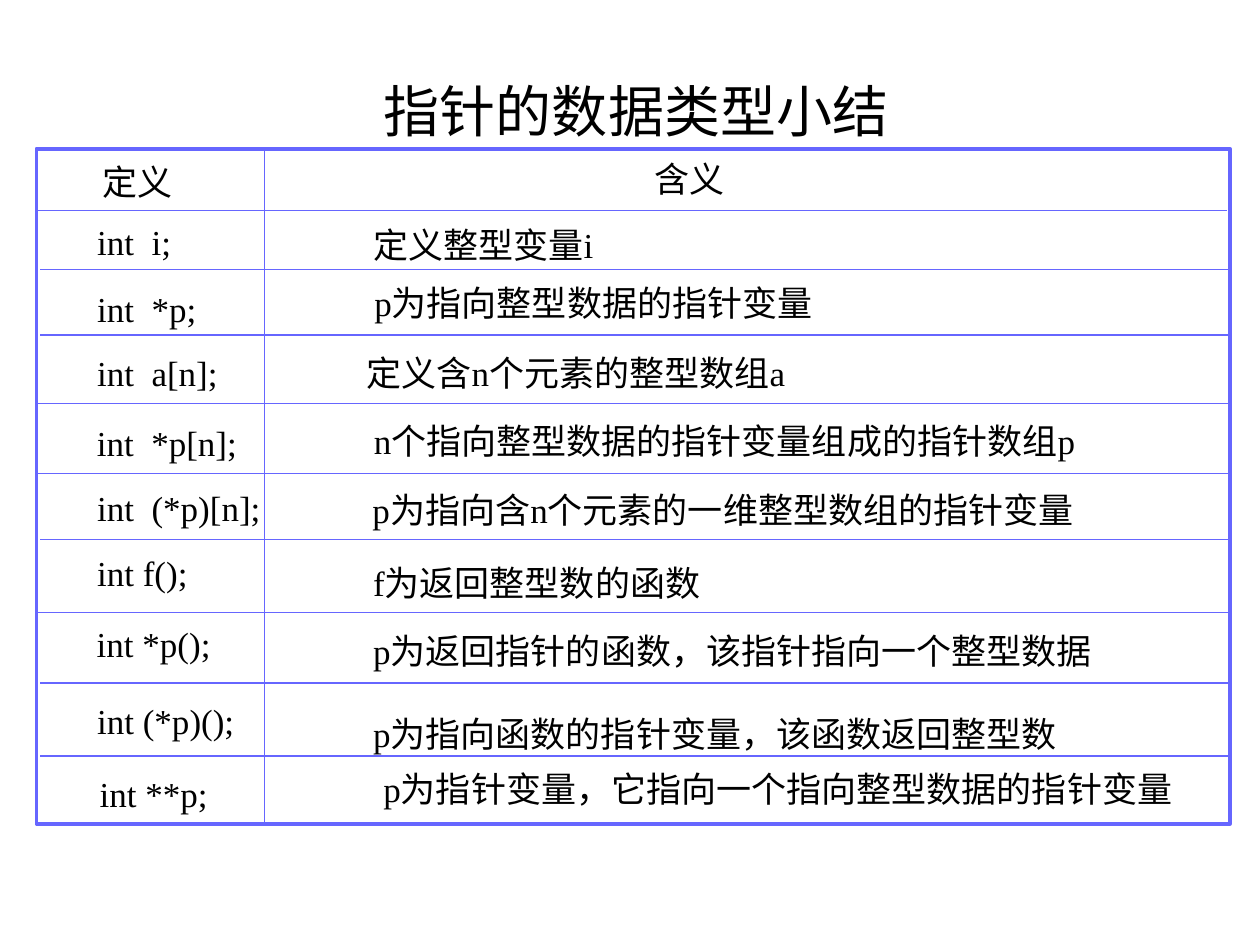
from lxml import etree
from pptx import Presentation
from pptx import util as u
from pptx.dml.color import RGBColor
from pptx.enum import shapes, text
from pptx.oxml.ns import qn

THEME = {
    "font": "Times New Roman",
    "ink": RGBColor(0x00, 0x00, 0x00),
    "paper": RGBColor(0xFF, 0xFF, 0xFF),
    "rule": RGBColor(0x66, 0x66, 0xFF),
    "title_size": 32,
    "body_size": 20,
    "frame_width": 2.25,
    "rule_width": 0.75,
    "side_inset": 0.05,  # narrow, so that every label stays on one line
}

# Wording, left, top, width
TITLE = ("指针的数据类型小结", 2.95, 0.55, 4.2)

# One (definition, meaning) pair per table row
ROWS = [
    (("定义", 0.72, 1.22, 0.75), ("含义", 5.1, 1.2, 0.75)),
    (("int  i;", 0.67, 1.7, 0.79), ("定义整型变量i", 2.83, 1.72, 2.01)),
    (("int  *p;", 0.67, 2.23, 0.99), ("p为指向整型数据的指针变量", 2.84, 2.18, 3.74)),
    (("int  a[n];", 0.67, 2.74, 1.16), ("定义含n个元素的整型数组a", 2.71, 2.74, 3.72)),
    (("int  *p[n];", 0.67, 3.29, 1.31),
     ("n个指向整型数据的指针变量组成的指针数组p", 2.8, 3.28, 5.9)),
    (("int  (*p)[n];", 0.67, 3.81, 1.5),
     ("p为指向含n个元素的一维整型数组的指针变量", 2.76, 3.82, 5.96)),
    (("int f();", 0.67, 4.32, 0.92), ("f为返回整型数的函数", 2.83, 4.4, 2.86)),
    (("int *p();", 0.67, 4.89, 1.1),
     ("p为返回指针的函数，该指针指向一个整型数据", 2.83, 4.94, 5.97)),
    (("int (*p)();", 0.67, 5.5, 1.29),
     ("p为指向函数的指针变量，该函数返回整型数", 2.83, 5.6, 5.69)),
    (("int **p;", 0.69, 6.08, 1.06),
     ("p为指针变量，它指向一个指向整型数据的指针变量", 2.91, 6.04, 6.53)),
]

FRAME = (0.29, 1.18, 9.47, 5.36)
ROW_RULE_LENGTH = 9.45
ROW_RULES = [  # left, height on the page
    (0.29, 1.67), (0.32, 2.14), (0.32, 2.66), (0.3, 3.2), (0.3, 3.76),
    (0.32, 4.28), (0.3, 4.86), (0.32, 5.42), (0.32, 6),
]
COLUMN_RULE = (2.1, 1.19, 2.1, 6.55)


def add_frame(page):
    frame = page.shapes.add_shape(
        shapes.MSO_SHAPE.RECTANGLE, *map(u.Inches, FRAME))
    frame.shadow.inherit = False
    frame.fill.solid()
    frame.fill.fore_color.rgb = THEME["paper"]
    frame.line.color.rgb = THEME["rule"]
    frame.line.width = u.Pt(THEME["frame_width"])


def add_rule(page, *ends):
    rule = page.shapes.add_connector(
        shapes.MSO_CONNECTOR.STRAIGHT, *map(u.Inches, ends))
    rule.line.color.rgb = THEME["rule"]
    rule.line.width = u.Pt(THEME["rule_width"])
    etree.SubElement(rule._element.spPr, qn("a:effectLst"))


def add_label(page, label, size, height):
    wording, left, top, width = label
    box = page.shapes.add_textbox(*map(u.Inches, (left, top, width, height)))
    frame = box.text_frame
    frame.word_wrap = False
    frame.auto_size = text.MSO_AUTO_SIZE.SHAPE_TO_FIT_TEXT
    frame.vertical_anchor = text.MSO_ANCHOR.MIDDLE
    frame.margin_left = frame.margin_right = u.Inches(THEME["side_inset"])
    para = frame.paragraphs[0]
    para.alignment = text.PP_ALIGN.CENTER
    span = para.add_run()
    span.text = wording
    span.font.name = THEME["font"]
    span.font.size = u.Pt(size)
    span.font.color.rgb = THEME["ink"]


def main():
    deck = Presentation()
    deck.slide_width, deck.slide_height = u.Inches(10), u.Inches(7.5)
    page = deck.slides.add_slide(deck.slide_layouts[6])

    add_frame(page)
    for left, y in ROW_RULES:
        add_rule(page, left, y, left + ROW_RULE_LENGTH, y)
    add_rule(page, *COLUMN_RULE)

    for column in zip(*ROWS):
        for label in column:
            add_label(page, label, THEME["body_size"], 0.44)
    add_label(page, TITLE, THEME["title_size"], 0.64)

    deck.save("out.pptx")


if __name__ == "__main__":
    main()
